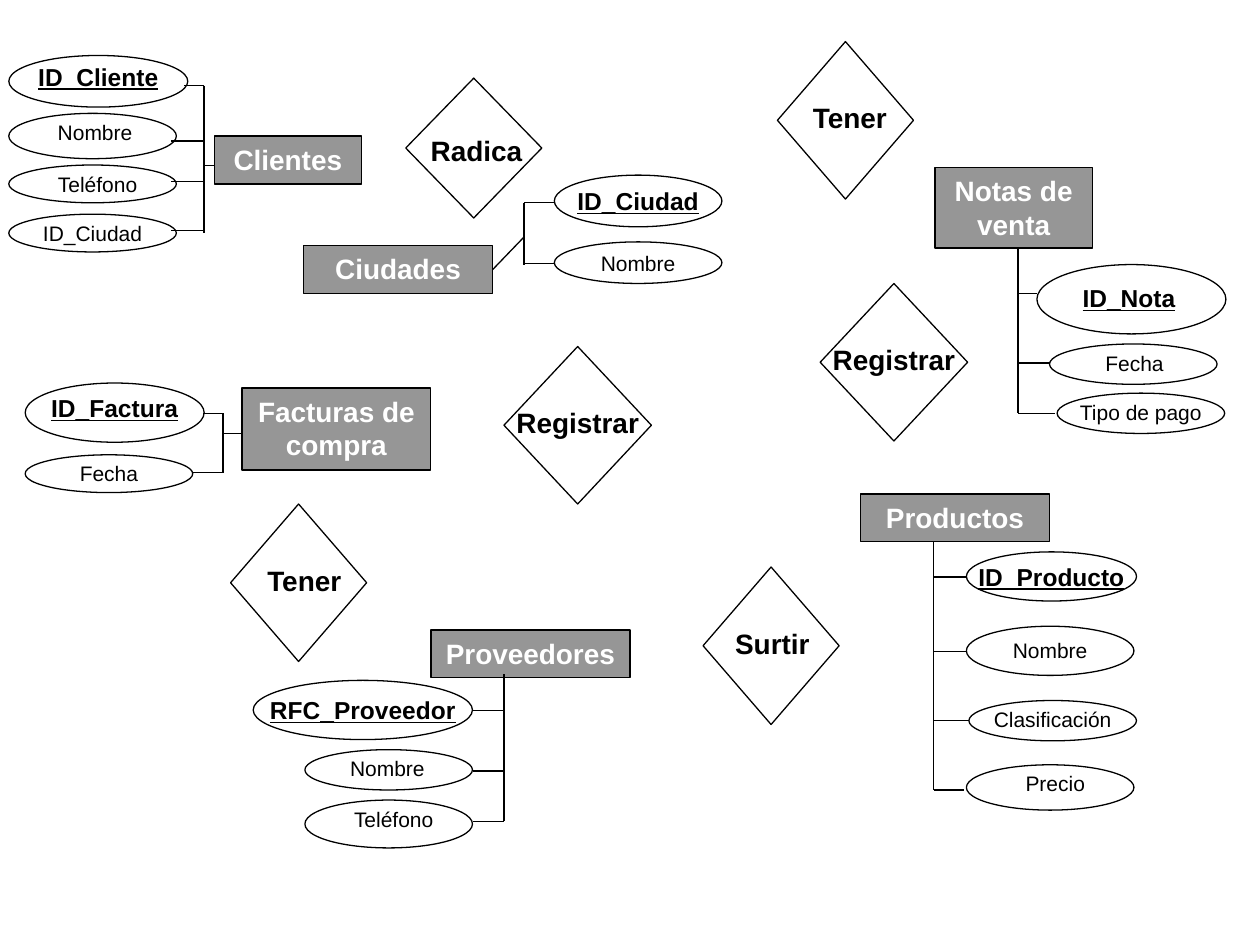
"""Build an entity-relationship diagram slide for a sales database."""
import pptx
import pptx.util
import pptx.dml.color
import pptx.enum.shapes
import pptx.enum.text
import pptx.oxml.ns
import lxml.etree

Inches, Pt = pptx.util.Inches, pptx.util.Pt
RGB = pptx.dml.color.RGBColor
SHAPE = pptx.enum.shapes.MSO_SHAPE
ALIGN = pptx.enum.text.PP_ALIGN
ANCHOR = pptx.enum.text.MSO_ANCHOR
BLACK = RGB(0x00, 0x00, 0x00)
WHITE = RGB(0xFF, 0xFF, 0xFF)
GRAY = RGB(0x96, 0x96, 0x96)

TITLE = {"size": Pt(16), "bold": True, "name": "Arial"}
KEY = {"size": Pt(14), "bold": True, "underline": True, "name": "Arial"}
FIELD = {"size": Pt(12), "name": "Arial"}

# Attribute: text, ellipse box, label (left, top, width) or None, branch (tip x, y); the first is the key.
ENTITIES = [
    {"name": "Clientes", "box": (1.7, 1.08, 1.17, 0.38), "trunk": (1.62, 0.68, 1.85),
     "stub": (1.63, 1.31, 1.7, 1.31, 0.5), "attributes": [
         ("ID_Cliente", (0.07, 0.44, 1.42, 0.41), (-0.01, 0.44, 1.58), (1.46, 0.68)),
         ("Nombre", (0.07, 0.9, 1.33, 0.36), (0.17, 0.9, 1.17), (1.36, 1.12)),
         ("Teléfono", (0.07, 1.31, 1.33, 0.3), (0.15, 1.31, 1.25), (1.36, 1.44)),
         ("ID_Ciudad", (0.07, 1.7, 1.33, 0.3), (0.15, 1.7, 1.17), (1.36, 1.83))]},
    {"name": "Ciudades", "box": (2.41, 1.95, 1.5, 0.38), "trunk": (4.16, 1.61, 2.1),
     "stub": (4.16, 1.88, 3.91, 2.14, 0.75), "joined": 3, "attributes": [
         ("ID_Ciudad", (4.4, 1.39, 1.33, 0.41), None, (4.4, 1.61)),
         ("Nombre", (4.4, 1.92, 1.33, 0.33), None, (4.4, 2.09))]},
    {"name": "Notas de venta", "box": (7.42, 1.33, 1.25, 0.64), "trunk": (8.08, 1.98, 3.28),
     "attributes": [
         ("ID_Nota", (8.23, 2.1, 1.5, 0.55), (8.17, 2.2, 1.58), (8.23, 2.33)),
         ("Fecha", (8.33, 2.73, 1.33, 0.32), (8.42, 2.73, 1.17), (8.33, 2.88)),
         ("Tipo de pago", (8.39, 3.12, 1.33, 0.32), (8.47, 3.12, 1.17), (8.37, 3.28))]},
    {"name": "Facturas de compra", "box": (1.92, 3.08, 1.5, 0.65), "trunk": (1.77, 3.28, 3.75),
     "stub": (1.78, 3.44, 1.93, 3.44, 0.75), "attributes": [
         ("ID_Factura", (0.2, 3.04, 1.42, 0.47), (0.12, 3.07, 1.58), (1.61, 3.28)),
         ("Fecha", (0.2, 3.61, 1.33, 0.3), (0.28, 3.61, 1.17), (1.53, 3.75))]},
    {"name": "Productos", "box": (6.83, 3.92, 1.5, 0.38), "trunk": (7.41, 4.3, 6.27),
     "attributes": [
         ("ID_Producto", (7.67, 4.38, 1.35, 0.39), None, (7.67, 4.58)),
         ("Nombre", (7.67, 4.97, 1.33, 0.39), (7.75, 5.01, 1.17), (7.67, 5.17)),
         ("Clasificación", (7.69, 5.56, 1.33, 0.32), (7.77, 5.56, 1.17), (7.69, 5.72)),
         ("Precio", (7.67, 6.07, 1.33, 0.36), (7.75, 6.07, 1.25), (7.65, 6.27))]},
    {"name": "Proveedores", "box": (3.42, 5, 1.58, 0.38), "trunk": (4, 5.35, 6.52),
     "attributes": [
         ("RFC_Proveedor", (2.01, 5.4, 1.74, 0.47), None, (3.75, 5.64)),
         ("Nombre", (2.42, 5.95, 1.33, 0.32), (2.49, 5.95, 1.17), (3.75, 6.12)),
         ("Teléfono", (2.42, 6.35, 1.33, 0.38), (2.5, 6.35, 1.25), (3.75, 6.52))]},
]
RELATIONS = [
    ("Radica", (3.22, 0.62, 1.08, 1.11), (3.32, 1.01, 1.08), ALIGN.LEFT),
    ("Tener", (6.17, 0.33, 1.08, 1.25), (6.33, 0.75, 0.83), ALIGN.CENTER),
    ("Registrar", (6.51, 2.25, 1.17, 1.25), (6.51, 2.67, 1.25), ALIGN.LEFT),
    ("Registrar", (4, 2.75, 1.17, 1.25), (4, 3.17, 1.25), ALIGN.LEFT),
    ("Tener", (1.83, 4, 1.08, 1.25), (2, 4.42, 0.83), ALIGN.CENTER),
    ("Surtir", (5.58, 4.5, 1.08, 1.25), (5.67, 4.92, 0.92), ALIGN.CENTER),
]


def write(sp, text, style, color=BLACK, align=ALIGN.CENTER, anchor=ANCHOR.TOP, wrap=True):
    tf = sp.text_frame
    tf.word_wrap, tf.vertical_anchor = wrap, anchor
    p = tf.paragraphs[0]
    p.alignment = align
    r = p.add_run()
    r.text = text
    for name, value in style.items():
        setattr(r.font, name, value)
    r.font.color.rgb = color


def add_outline(s, kind, box, fill=None):
    sp = s.shapes.add_shape(kind, *map(Inches, box))
    sp.shadow.inherit = False
    if fill is None:
        sp.fill.background()
    else:
        sp.fill.solid()
        sp.fill.fore_color.rgb = fill
    sp.line.color.rgb, sp.line.width = BLACK, Pt(0.75)
    return sp


def add_label(s, text, place, height, style, align=ALIGN.CENTER):
    sp = s.shapes.add_textbox(*map(Inches, (*place, height)))
    write(sp, text, style, align=align)


def add_line(s, x1, y1, x2, y2, width=0.75):
    kind = pptx.enum.shapes.MSO_CONNECTOR.STRAIGHT
    line = s.shapes.add_connector(kind, *map(Inches, (x1, y1, x2, y2)))
    line.line.color.rgb, line.line.width = BLACK, Pt(width)
    lxml.etree.SubElement(line._element.spPr, pptx.oxml.ns.qn("a:effectLst"))
    return line


def add_entity(s, entity):
    rect = add_outline(s, SHAPE.RECTANGLE, entity["box"], GRAY)
    write(rect, entity["name"], TITLE, WHITE)
    x, top, bottom = entity["trunk"]
    add_line(s, x, top, x, bottom)
    if "stub" in entity:
        stub = add_line(s, *entity["stub"])
        if "joined" in entity:
            stub.end_connect(rect, entity["joined"])
    for i, (text, box, place, (tip, y)) in enumerate(entity["attributes"]):
        style, height = (FIELD, 0.3) if i else (KEY, 0.33)
        add_line(s, x, y, tip, y)
        sp = add_outline(s, SHAPE.OVAL, box)
        if place:
            add_label(s, text, place, height, style)
        else:
            write(sp, text, style, anchor=ANCHOR.MIDDLE, wrap=False)


def main():
    prs = pptx.Presentation()
    prs.slide_width, prs.slide_height = Inches(10), Inches(7.5)
    s = prs.slides.add_slide(prs.slide_layouts[6])
    for entity in ENTITIES:
        add_entity(s, entity)
    for text, box, place, align in RELATIONS:
        add_outline(s, SHAPE.FLOWCHART_DECISION, box)
        add_label(s, text, place, 0.37, TITLE, align)
    prs.save("out.pptx")


if __name__ == "__main__":
    main()
